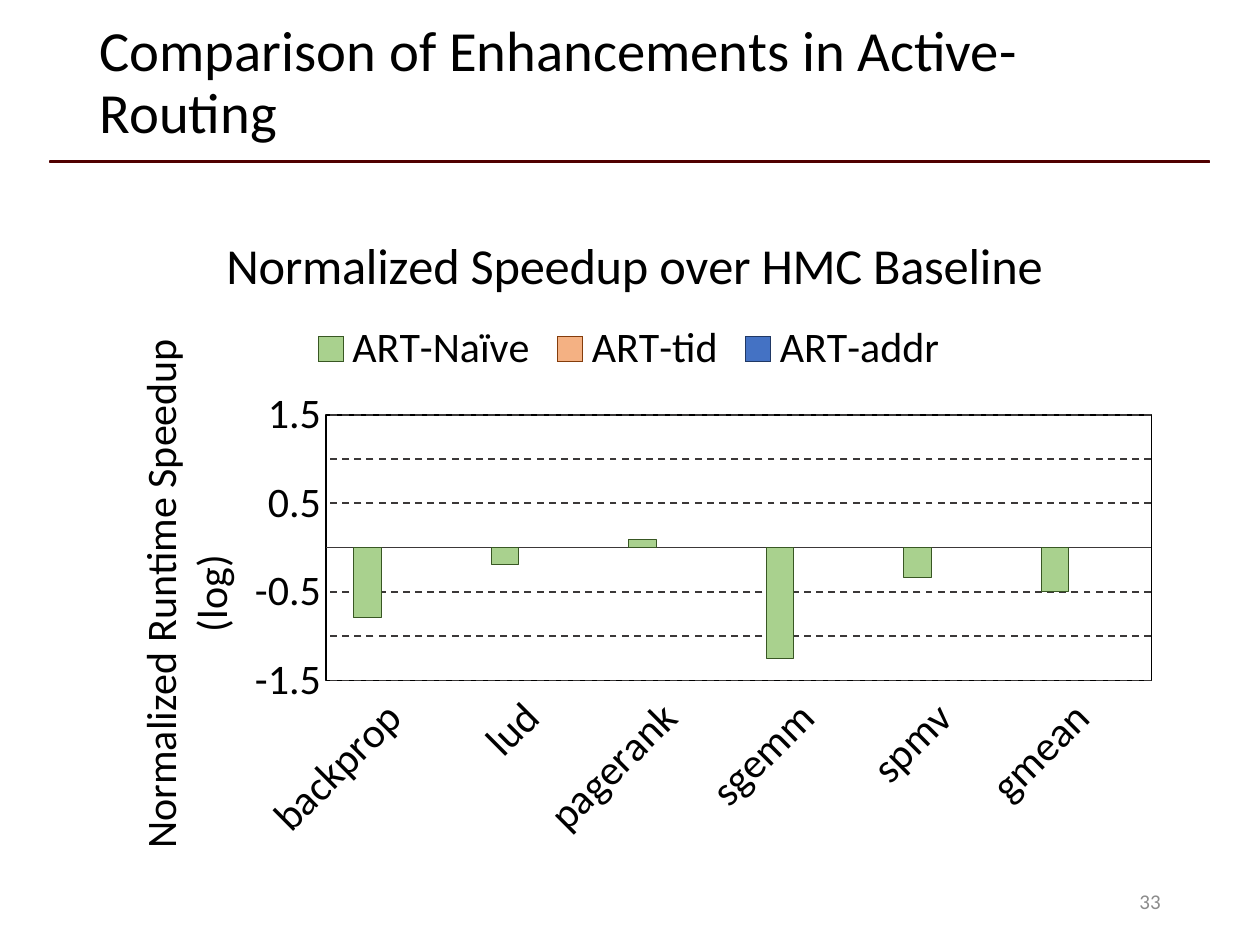
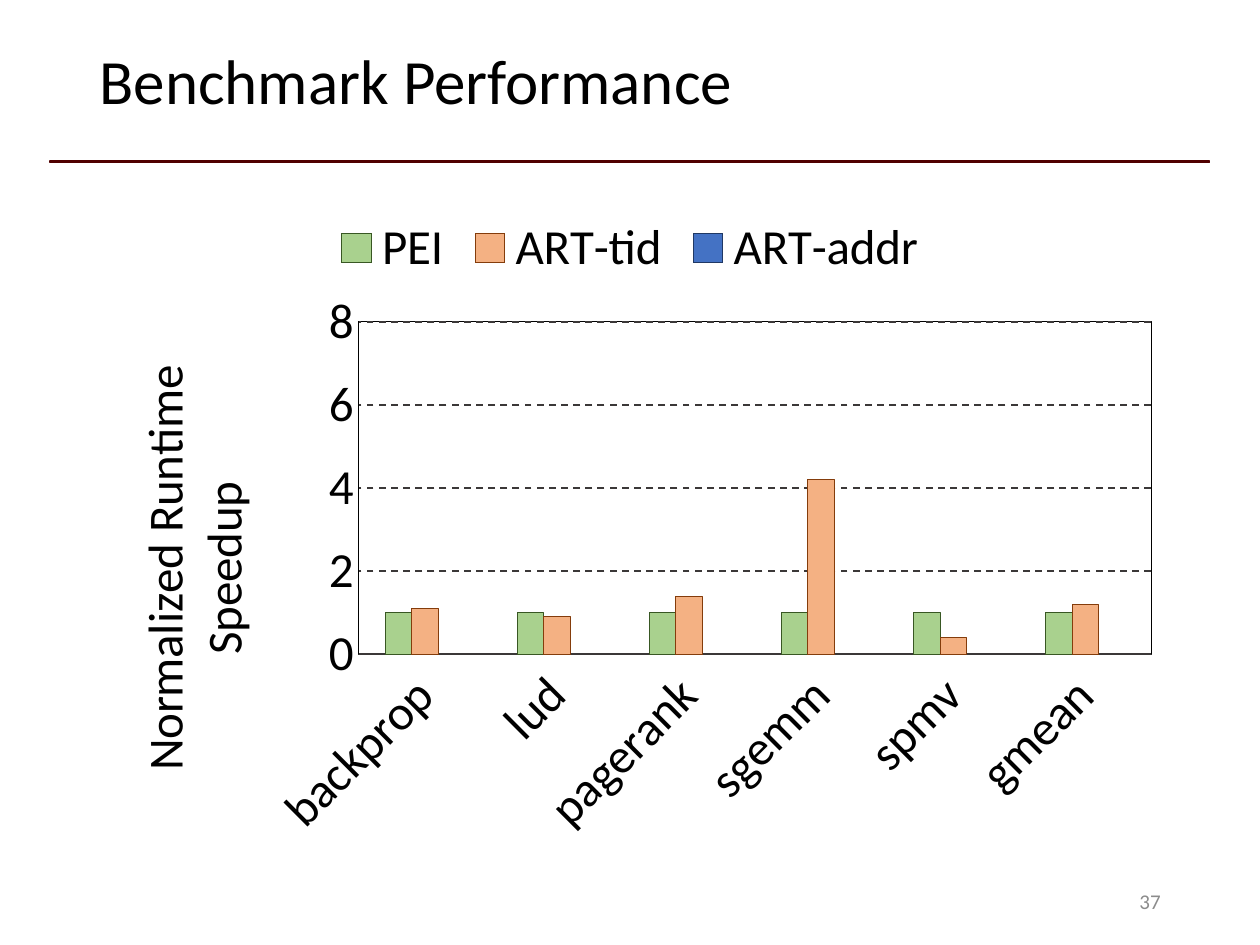
from lxml.etree import SubElement
from pptx import Presentation
from pptx.chart.data import CategoryChartData
from pptx.dml.color import RGBColor
from pptx.enum.chart import (XL_CHART_TYPE, XL_LEGEND_POSITION,
                             XL_TICK_LABEL_POSITION, XL_TICK_MARK)
from pptx.enum.dml import MSO_LINE
from pptx.enum.shapes import MSO_SHAPE
from pptx.enum.text import MSO_ANCHOR, MSO_AUTO_SIZE, PP_ALIGN
from pptx.oxml import parse_xml
from pptx.oxml.ns import nsdecls, qn
from pptx.util import Inches, Pt

COLORS = {
    "text": "000000", "rule": "500000", "number": "8C8C8C", "axis": "3B3838",
    "green": "A9D18E", "green_edge": "385723",
    "orange": "F4B183", "orange_edge": "843C0B",
    "blue": "4472C4", "blue_edge": "203864",
}
SERIES_COLORS = ("green", "orange", "blue")
FONT = "Calibri"
WIDTH, HEIGHT = Inches(10), Inches(7.5)
BENCHMARKS = ("backprop", "lud", "pagerank", "sgemm", "spmv", "gmean")
NO_VALUES = (None,) * len(BENCHMARKS)


def rgb(name):
    return RGBColor.from_string(COLORS[name])


def set_font(font, size, color="text"):
    font.name, font.size, font.bold = FONT, Pt(size), False
    font.color.rgb = rgb(color)


def set_line(line, color, width):
    line.color.rgb = rgb(color)
    line.width = Pt(width)


def set_layout(element, index, **shares):
    """Place a chart part by shares of the chart's size."""
    for old in element.findall(qn("c:layout")):
        element.remove(old)
    layout = parse_xml(f"<c:layout {nsdecls('c')}><c:manualLayout/></c:layout>")
    manual = layout[0]
    if "w" in shares:
        SubElement(manual, qn("c:layoutTarget")).set("val", "inner")
    for key in ("x", "y"):
        SubElement(manual, qn(f"c:{key}Mode")).set("val", "edge")
    for key, share in shares.items():
        SubElement(manual, qn(f"c:{key}")).set("val", str(share))
    element.insert(index, layout)


class Deck:
    """Holds the shared style and the current slide."""

    def __init__(self):
        self.prs = Presentation()
        self.prs.slide_width, self.prs.slide_height = WIDTH, HEIGHT
        self.s = None

    def box(self, left, top, width, height):
        """Turn shares of the slide's size into lengths."""
        return (int(WIDTH * left), int(HEIGHT * top),
                int(WIDTH * width), int(HEIGHT * height))

    def slide(self, title, size, number):
        self.s = self.prs.slides.add_slide(self.prs.slide_layouts[5])
        self.rule()
        self.title(title, size)
        self.number(number)

    def rule(self):
        sp = self.s.shapes.add_shape(MSO_SHAPE.RECTANGLE,
                                     *self.box(0.04, 0.17, 0.92, 0))
        sp.top, sp.height = Inches(1.28), Inches(0.01)
        sp.shadow.inherit = False
        sp.fill.solid()
        sp.fill.fore_color.rgb = rgb("rule")
        set_line(sp.line, "rule", 1)

    def title(self, text, size):
        sp = self.s.shapes.title
        sp.left, sp.top, sp.width, sp.height = self.box(0.069, 0.03, 0.862, 0.118)
        tf = sp.text_frame
        tf.text = text
        tf.auto_size = MSO_AUTO_SIZE.NONE
        tf.vertical_anchor = MSO_ANCHOR.MIDDLE
        p = tf.paragraphs[0]
        p.alignment, p.line_spacing = PP_ALIGN.LEFT, 0.9
        set_font(p.font, size)

    def number(self, number):
        sp = self.s.shapes.add_textbox(*self.box(0.706, 0.927, 0.225, 0.053))
        tf = sp.text_frame
        tf.word_wrap, tf.vertical_anchor = True, MSO_ANCHOR.MIDDLE
        p = tf.paragraphs[0]
        p.text, p.alignment = str(number), PP_ALIGN.RIGHT
        set_font(p.font, 12, "number")

    def chart(self, series, size, axis_title, scale, plot, legend, axis_title_at,
              axis_width, title=None):
        data = CategoryChartData()
        data.categories = BENCHMARKS
        for name, values in series.items():
            data.add_series(name, values)
        chart = self.s.shapes.add_chart(XL_CHART_TYPE.COLUMN_CLUSTERED,
                                        *self.box(0.069, 0.2, 0.862, 0.703),
                                        data).chart
        set_font(chart.font, size)

        # Heading and legend
        chart.has_title = title is not None
        if title:
            self.chart_text(chart.chart_title, title, 28.8, x=0.12, y=0.05)
        chart.has_legend = True
        chart.legend.position = XL_LEGEND_POSITION.TOP
        chart.legend.include_in_layout = False
        set_font(chart.legend.font, size)
        set_layout(chart.legend._element, 1, **legend)

        # Columns
        bars = chart.plots[0]
        bars.gap_width, bars.overlap, bars.vary_by_categories = 200, 0, False
        for ser, color in zip(bars.series, SERIES_COLORS):
            ser.invert_if_negative = False
            ser.format.fill.solid()
            ser.format.fill.fore_color.rgb = rgb(color)
            set_line(ser.format.line, f"{color}_edge", 0.25)

        # Axes
        cats, vals = chart.category_axis, chart.value_axis
        for axis in (cats, vals):
            axis.major_tick_mark = axis.minor_tick_mark = XL_TICK_MARK.NONE
            set_font(axis.tick_labels.font, size)
        cats.tick_label_position = XL_TICK_LABEL_POSITION.LOW
        cats._element.find(qn("c:txPr")).find(qn("a:bodyPr")).set("rot", "-2700000")
        set_line(cats.format.line, "axis", axis_width)
        vals.minimum_scale, vals.maximum_scale, vals.major_unit = scale
        vals.tick_labels.number_format = "General"
        vals.tick_labels.number_format_is_linked = False
        vals.format.line.fill.background()
        grid = vals.major_gridlines.format.line
        set_line(grid, "axis", 1)
        grid.dash_style = MSO_LINE.DASH
        self.chart_text(vals.axis_title, axis_title, size, -5400000, **axis_title_at)

        # Framed plot area
        area = chart._chartSpace.find(qn("c:chart")).find(qn("c:plotArea"))
        set_layout(area, 0, **plot)
        area.append(parse_xml(
            f'<c:spPr {nsdecls("c", "a")}><a:noFill/><a:ln w="9525"><a:solidFill>'
            f'<a:srgbClr val="{COLORS["text"]}"/></a:solidFill></a:ln></c:spPr>'))

    def chart_text(self, title, text, size, rotation=0, **place):
        tf = title.text_frame
        for i, line in enumerate(text.split("\n")):
            p = tf.add_paragraph() if i else tf.paragraphs[0]
            p.text = line
            set_font(p.font, size)
        tf._txBody.find(qn("a:bodyPr")).set("rot", str(rotation))
        set_layout(title._element, 1, **place)


def main():
    deck = Deck()

    # Enhancements compared on a log scale
    deck.slide("Comparison of Enhancements in Active-Routing", 32.4, 33)
    deck.chart(
        {"ART-Naïve": (-0.79, -0.19, 0.09, -1.25, -0.33, -0.49),
         "ART-tid": NO_VALUES, "ART-addr": NO_VALUES},
        size=24, axis_title="Normalized Runtime Speedup\n(log)",
        scale=(-1.5, 1.5, 0.5), axis_width=1,
        plot=dict(x=0.22, y=0.34, w=0.76, h=0.4),
        legend=dict(x=0.2, y=0.19), axis_title_at=dict(x=0.04, y=0.22),
        title="Normalized Speedup over HMC Baseline")

    # Benchmark speedups
    deck.slide("Benchmark Performance", 36, 37)
    deck.chart(
        {"PEI": (1,) * len(BENCHMARKS),
         "ART-tid": (1.1, 0.9, 1.4, 4.2, 0.4, 1.2), "ART-addr": NO_VALUES},
        size=28, axis_title="Normalized Runtime\nSpeedup",
        scale=(0, 8, 2), axis_width=0.75,
        plot=dict(x=0.25, y=0.2, w=0.73, h=0.5),
        legend=dict(x=0.22, y=0.03), axis_title_at=dict(x=0.04, y=0.26))

    deck.prs.save("out.pptx")


if __name__ == "__main__":
    main()
